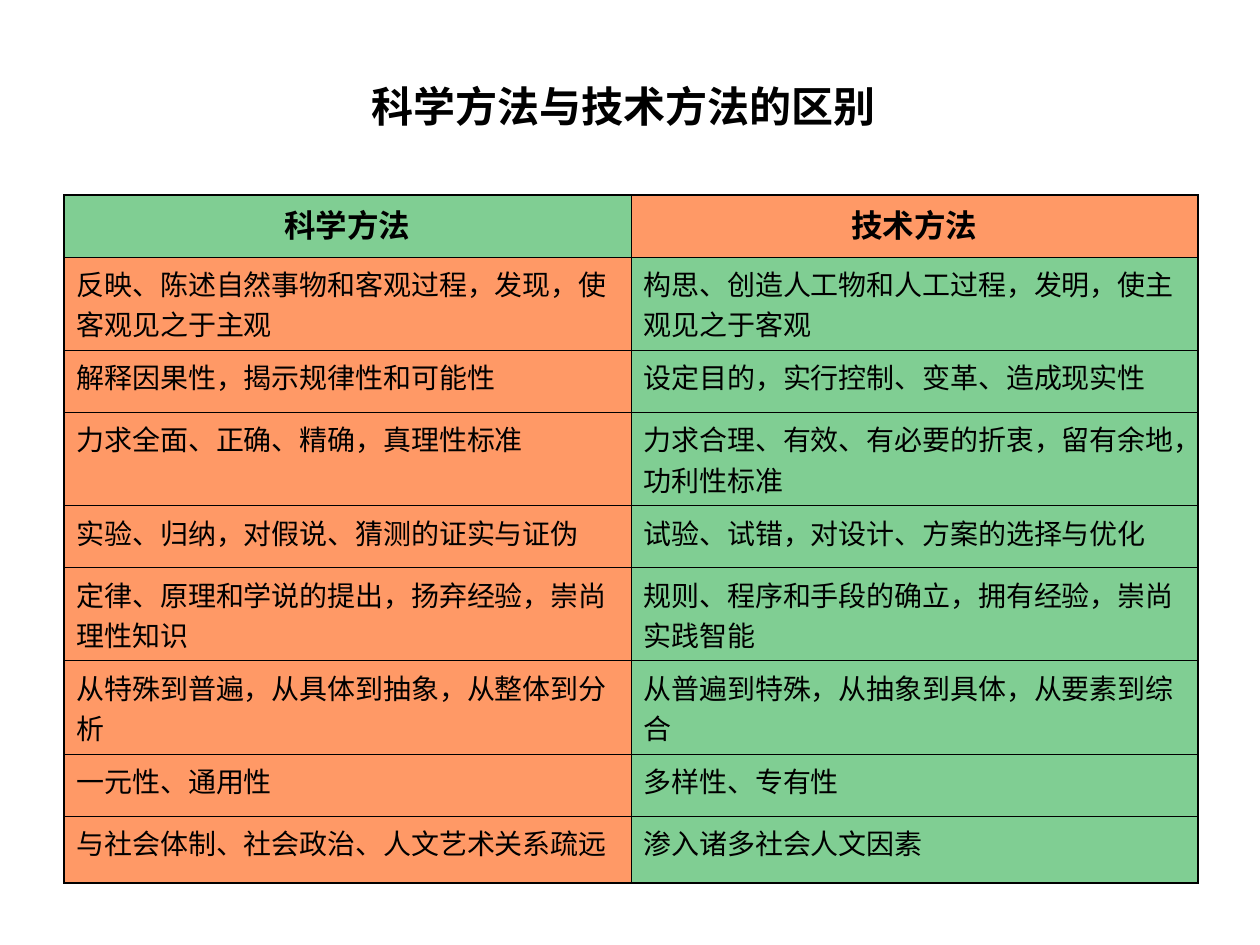
from lxml.etree import SubElement
from pptx import Presentation
from pptx.dml.color import RGBColor
from pptx.enum.text import MSO_ANCHOR as Anchor, PP_ALIGN as Align
from pptx.oxml.ns import qn
from pptx.util import Pt

PX = 914400 // 126
GREEN, ORANGE, BLACK = "80CE93", "FF9966", "000000"
THIN, THICK = 0.45, 1.08
ROWS = [
    ("科学方法", "技术方法"),
    ("反映、陈述自然事物和客观过程，发现，使客观见之于主观", "构思、创造人工物和人工过程，发明，使主观见之于客观"),
    ("解释因果性，揭示规律性和可能性", "设定目的，实行控制、变革、造成现实性"),
    ("力求全面、正确、精确，真理性标准", "力求合理、有效、有必要的折衷，留有余地，功利性标准"),
    ("实验、归纳，对假说、猜测的证实与证伪", "试验、试错，对设计、方案的选择与优化"),
    ("定律、原理和学说的提出，扬弃经验，崇尚理性知识", "规则、程序和手段的确立，拥有经验，崇尚实践智能"),
    ("从特殊到普遍，从具体到抽象，从整体到分析", "从普遍到特殊，从抽象到具体，从要素到综合"),
    ("一元性、通用性", "多样性、专有性"),
    ("与社会体制、社会政治、人文艺术关系疏远", "渗入诸多社会人文因素"),
]
HEIGHTS = [62, 79, 62, 79, 62, 79, 79, 62, 67]


def color(value):
    return RGBColor.from_string(value)


def format_run(run, size, bold):
    run.font.name = "Arial"
    run.font.size = Pt(size)
    run.font.bold = bold
    run.font.color.rgb = color(BLACK)


presentation = Presentation()
presentation.slide_width = 1260 * PX
presentation.slide_height = 945 * PX
slide = presentation.slides.add_slide(presentation.slide_layouts[5])

title = slide.shapes.title
title.left, title.top, title.width, title.height = 64 * PX, 26 * PX, 1134 * PX, 137 * PX
title.text_frame.text = "科学方法与技术方法的区别"
title.text_frame.vertical_anchor = Anchor.MIDDLE
paragraph = title.text_frame.paragraphs[0]
paragraph.alignment = Align.CENTER
format_run(paragraph.runs[0], 24, True)
space = paragraph.add_run()
space.text = " "
format_run(space, 40, False)

table = slide.shapes.add_table(
    len(ROWS), 2, 64 * PX, 195 * PX, 1134 * PX, sum(HEIGHTS) * PX
).table
table.horz_banding = False
last = len(ROWS) - 1

for row, texts in enumerate(ROWS):
    table.rows[row].height = HEIGHTS[row] * PX
    header = row == 0
    for column, text in enumerate(texts):
        cell = table.cell(row, column)
        cell.text_frame.text = text
        paragraph = cell.text_frame.paragraphs[0]
        paragraph.alignment = Align.CENTER if header else Align.LEFT
        paragraph.space_before = Pt(4.5 if header else 4)
        format_run(paragraph.runs[0], 18 if header else 16, header)

        outer_sides = {"L": column == 0, "R": column == 1, "T": header, "B": row == last}
        properties = cell._tc.get_or_add_tcPr()
        for side, outer in outer_sides.items():
            width = Pt(THICK if outer else THIN)
            line = SubElement(properties, qn(f"a:ln{side}"), w=str(width))
            fill = SubElement(line, qn("a:solidFill"))
            SubElement(fill, qn("a:srgbClr"), val=BLACK)
        cell.fill.solid()
        cell.fill.fore_color.rgb = color(GREEN if header == (column == 0) else ORANGE)

presentation.save("out.pptx")
